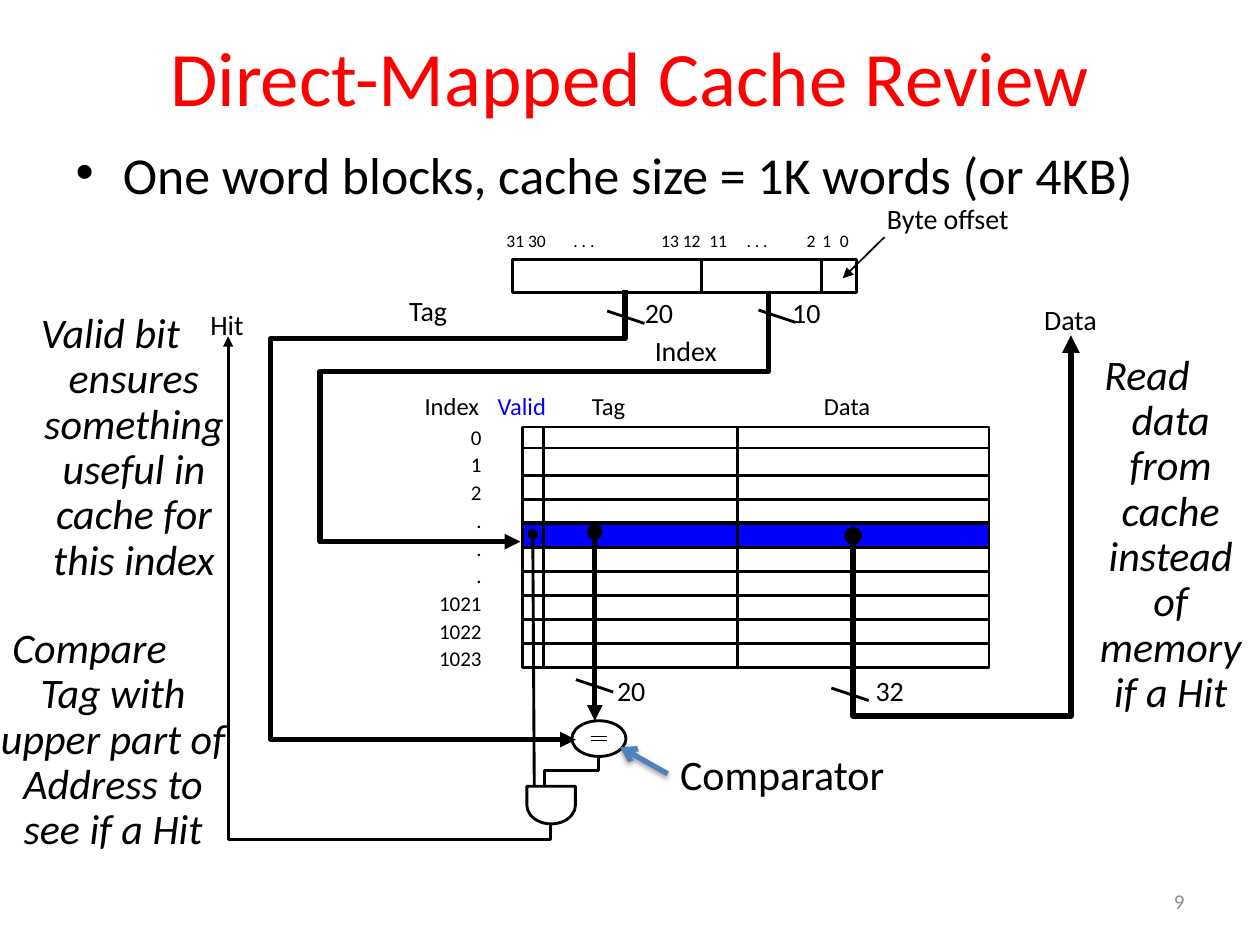
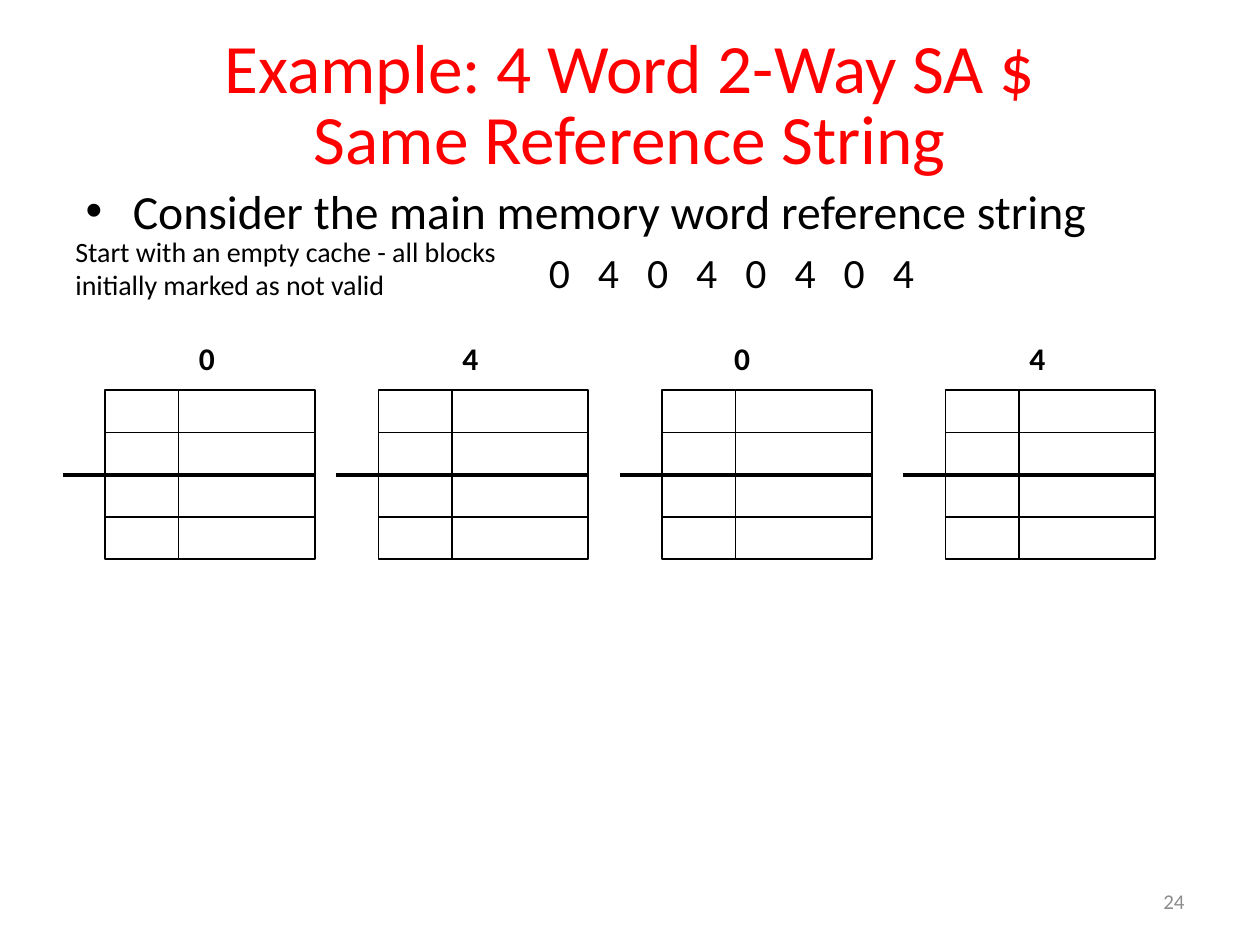
from lxml import etree
from pptx import Presentation
from pptx.dml.color import RGBColor
from pptx.enum import shapes as shp, text as txt
from pptx.oxml import ns
from pptx.util import Cm, Pt

RED = RGBColor(255, 0, 0)
BLACK = RGBColor(0, 0, 0)
BLUE = RGBColor(0, 0, 255)
STEEL = RGBColor(0x4F, 0x81, 0xBD)
GRAY = RGBColor(0x8C, 0x8C, 0x8C)
FONT = "Calibri"
THIN = 1.63
BOLD = 3
LEFT, MID, RIGHT = txt.PP_ALIGN.LEFT, txt.PP_ALIGN.CENTER, txt.PP_ALIGN.RIGHT


def write(slide, label, x, y, wide, high, size, color=BLACK, align=LEFT, wrap=False):
    box = slide.shapes.add_textbox(Cm(x), Cm(y), Cm(wide), Cm(high))
    frame = box.text_frame
    frame.text = label
    frame.word_wrap = wrap
    for para in frame.paragraphs:
        para.alignment = align
        for run in para.runs:
            run.font.name, run.font.size = FONT, Pt(size)
            run.font.color.rgb = color
    return box


def wire(slide, spots, width=THIN, head=None, tail=None, color=BLACK):
    spots = [(Cm(x), Cm(y)) for x, y in spots]
    if len(spots) == 2:
        line = slide.shapes.add_connector(shp.MSO_CONNECTOR.STRAIGHT, *spots[0], *spots[1])
    else:
        pen = slide.shapes.build_freeform(*spots[0], scale=1.0)
        pen.add_line_segments(spots[1:], close=False)
        line = pen.convert_to_shape()
        line.fill.background()
    line.line.color.rgb = color
    line.line.width = Pt(width)
    props = line._element.spPr
    edge = props.find(ns.qn("a:ln"))
    for tag, kind in (("a:headEnd", head), ("a:tailEnd", tail)):
        if kind:
            etree.SubElement(edge, ns.qn(tag), type=kind)
    return etree.SubElement(props, ns.qn("a:effectLst"))


deck = Presentation()
deck.slide_width, deck.slide_height = Cm(25.4), Cm(19.05)

pages = [
    ("Direct-Mapped Cache Review", 44, 1, (1.27, 0.43, 22.86, 2.21),
     ["One word blocks, cache size = 1K words (or 4KB)"], 0.6, (1.27, 3.2, 22.43, 1.88), [29.6], "9"),
    ("Example: 4 Word 2-Way SA $\vSame Reference String", 39.6, 0.85, (1.27, 0.58, 22.86, 3.18),
     ["Consider the main memory word reference string", "0 4 0 4 0 4 0 4"], 1,
     (1.47, 3.53, 22.66, 2.26), [27.2, 23.8], "24"),
]
slides = []
for head, size, pitch, place, items, gap, area, sizes, number in pages:
    slide = deck.slides.add_slide(deck.slide_layouts[1])
    slides.append(slide)
    title, body = slide.shapes.title, slide.placeholders[1]
    title.text_frame.text = head
    body.text_frame.text = "\n".join(items)
    for holder, rect, space, points, color in (
            (title, place, pitch, [size], RED), (body, area, gap, sizes, BLACK)):
        holder.left, holder.top, holder.width, holder.height = map(Cm, rect)
        holder.text_frame.auto_size = txt.MSO_AUTO_SIZE.NONE
        for level, para in enumerate(holder.text_frame.paragraphs):
            para.level = level
            para.line_spacing = space
            para.space_before = Pt(4.8 * level)
            for run in para.runs:
                run.font.name, run.font.size = FONT, Pt(points[level])
                run.font.color.rgb = color
    page = write(slide, number, 18.21, 17.65, 5.92, 1.02, 12, GRAY, RIGHT, True)
    page.text_frame.vertical_anchor = txt.MSO_ANCHOR.MIDDLE

cache, sets = slides

for kind, x, y, wide, high, turn, fill in (
        (shp.MSO_SHAPE.OVAL, 11.53, 14.53, 1.09, 0.72, 0, None),
        (shp.MSO_SHAPE.FLOWCHART_DELAY, 10.73, 15.74, 0.76, 0.98, 90, None),
        (shp.MSO_SHAPE.RECTANGLE, 10.34, 5.23, 6.92, 0.66, 0, None),
        (shp.MSO_SHAPE.RECTANGLE, 10.54, 8.61, 9.4, 4.85, 0, None),
        (shp.MSO_SHAPE.RECTANGLE, 10.54, 10.54, 9.4, 0.49, 0, BLUE)):
    part = cache.shapes.add_shape(kind, Cm(x), Cm(y), Cm(wide), Cm(high))
    part.rotation = turn
    part.shadow.inherit = False
    part.line.color.rgb, part.line.width = BLACK, Pt(THIN)
    if fill:
        part.fill.solid()
        part.fill.fore_color.rgb = fill
    else:
        part.fill.background()

for y in [9.03] + [9.58 + 3.4 / 7 * row for row in range(8)]:
    wire(cache, [(10.54, y), (19.94, y)])
for x in (10.96, 14.86):
    wire(cache, [(x, 8.61), (x, 13.46)])
for x in (14.15, 16.56):
    wire(cache, [(x, 5.23), (x, 5.89)])
for y in (14.85, 14.93):
    wire(cache, [(11.91, y), (12.24, y)], 0.75)
for x, y in ((12.24, 6.27), (15.29, 6.25), (11.61, 13.7), (16.76, 13.87)):
    wire(cache, [(x, y), (x + 0.75, y + 0.25)])

for route, width, head, tail in (
        ([(12.6, 5.84), (12.6, 6.83), (5.46, 6.83), (5.46, 14.91), (11.61, 14.91)], BOLD, None, "triangle"),
        ([(15.49, 5.89), (15.49, 7.49), (6.45, 7.49), (6.45, 10.92), (10.49, 10.92)], BOLD, None, "triangle"),
        ([(17.2, 10.8), (17.2, 14.43), (21.59, 14.43), (21.59, 6.76)], 3.38, "oval", "triangle"),
        ([(11.99, 10.72), (11.99, 14.53)], BOLD, "oval", "triangle"),
        ([(10.74, 10.77), (10.77, 15.85)], THIN, "oval", None),
        ([(12.07, 15.24), (12.07, 15.54), (10.97, 15.54), (10.97, 15.85)], THIN, None, None),
        ([(11.1, 16.61), (11.1, 16.92), (4.6, 16.92), (4.6, 6.78)], THIN, None, "triangle"),
        ([(17.83, 4.78), (16.99, 5.61)], 1, None, "triangle")):
    wire(cache, route, width, head, tail)

glow = wire(cache, [(13.46, 15.6), (12.5, 15.06)], BOLD, None, "arrow", STEEL)
shade = etree.SubElement(glow, ns.qn("a:outerShdw"), blurRad=str(Pt(3.1)), dist=str(Pt(1.6)),
                         dir="5400000", rotWithShape="0")
tint = etree.SubElement(shade, ns.qn("a:srgbClr"), val=str(BLACK))
etree.SubElement(tint, ns.qn("a:alpha"), val="38000")

for label, x, y, wide, size, color in (
        ("20", 12.75, 5.84, 1.14, 16, BLACK),
        ("10", 15.72, 5.84, 1.14, 16, BLACK),
        ("20", 12.19, 13.46, 1.14, 16, BLACK),
        ("32", 17.4, 13.46, 1.14, 16, BLACK),
        ("Tag", 8, 5.79, 1.47, 16, BLACK),
        ("Index", 12.95, 6.6, 1.88, 16, BLACK),
        ("Hit", 3.99, 6.07, 1.19, 16, BLACK),
        ("Data", 20.8, 5.97, 1.7, 16, BLACK),
        ("Byte offset", 17.63, 3.94, 3.18, 16, BLACK),
        ("Comparator", 13.46, 14.96, 4.67, 24, BLACK),
        ("Index", 8.31, 7.75, 1.6, 14, BLACK),
        ("Valid", 9.78, 7.75, 1.5, 14, BLUE),
        ("Tag", 11.68, 7.75, 1.35, 14, BLACK),
        ("Data", 16.36, 7.75, 1.55, 14, BLACK)):
    write(cache, label, x, y, wide, 0.94, size, color)

rows = write(cache, "0\n1\n2\n.\n.\n.\n1021\n1022\n1023", 8.51, 8.38, 1.45, 5.31, 12, align=RIGHT)
for para in rows.text_frame.paragraphs:
    para.line_spacing = 1.1

bits = write(cache, "31 30\t. . .\t13 12\t11\t. . .\t2\t1\t0", 9.96, 4.52, 7.87, 0.69, 10, wrap=True)
tabs = etree.SubElement(bits.text_frame.paragraphs[0]._p.get_or_add_pPr(), ns.qn("a:tabLst"))
for stop in (1.35, 3.12, 4.09, 4.84, 6.05, 6.37, 6.72):
    etree.SubElement(tabs, ns.qn("a:tab"), pos=str(Cm(stop)), algn="l")

for label, x, y, wide, high in (
        ("Valid bit ensures something useful in cache for this index", -0.53, 6.17, 5.51, 6),
        ("Compare\vTag with upper part of Address to see if a Hit", -1.27, 12.52, 6.15, 5.69),
        ("Read\vdata from cache instead of memory if a Hit", 20.85, 7.01, 4.55, 7.8)):
    note = write(cache, label, x, y, wide, high, 24, align=MID, wrap=True)
    para = note.text_frame.paragraphs[0]
    para.line_spacing = 0.9
    props = para._p.get_or_add_pPr()
    props.set("marL", str(Cm(0.95)))
    props.set("indent", str(Cm(-0.95)))
    for run in para.runs:
        run.font.italic = True

words = sets.placeholders[1].text_frame.paragraphs[1]
words.alignment = LEFT
props = words._p.get_or_add_pPr()
props.set("marL", str(Cm(9.34)))
props.set("indent", "0")
etree.SubElement(props, ns.qn("a:buNone"))
words.runs[0].font._element.set("spc", "537")

TOP, ROW = 7.87, 0.85
for word, x, spot in (("0", 1.27, 3.76), ("4", 6.78, 9.07), ("0", 12.5, 14.55), ("4", 18.21, 20.5)):
    edge = x + 0.85
    for left, wide in ((edge, 1.48), (edge + 1.48, 2.75)):
        cell = sets.shapes.add_shape(shp.MSO_SHAPE.RECTANGLE, Cm(left), Cm(TOP), Cm(wide), Cm(4 * ROW))
        cell.shadow.inherit = False
        cell.fill.background()
        cell.line.color.rgb, cell.line.width = BLACK, Pt(1)
    for row, start, width in ((1, edge, 1), (3, edge, 1), (2, x, 2.25)):
        wire(sets, [(start, TOP + row * ROW), (x + 5.08, TOP + row * ROW)], width)
    mark = write(sets, word, spot, 6.71, 0.86, 1.02, 18)
    mark.text_frame.paragraphs[0].runs[0].font.bold = True

write(sets, "Start with an empty cache - all blocks initially marked as not valid",
      1.27, 4.6, 9.53, 1.63, 16, wrap=True)

deck.save("out.pptx")
